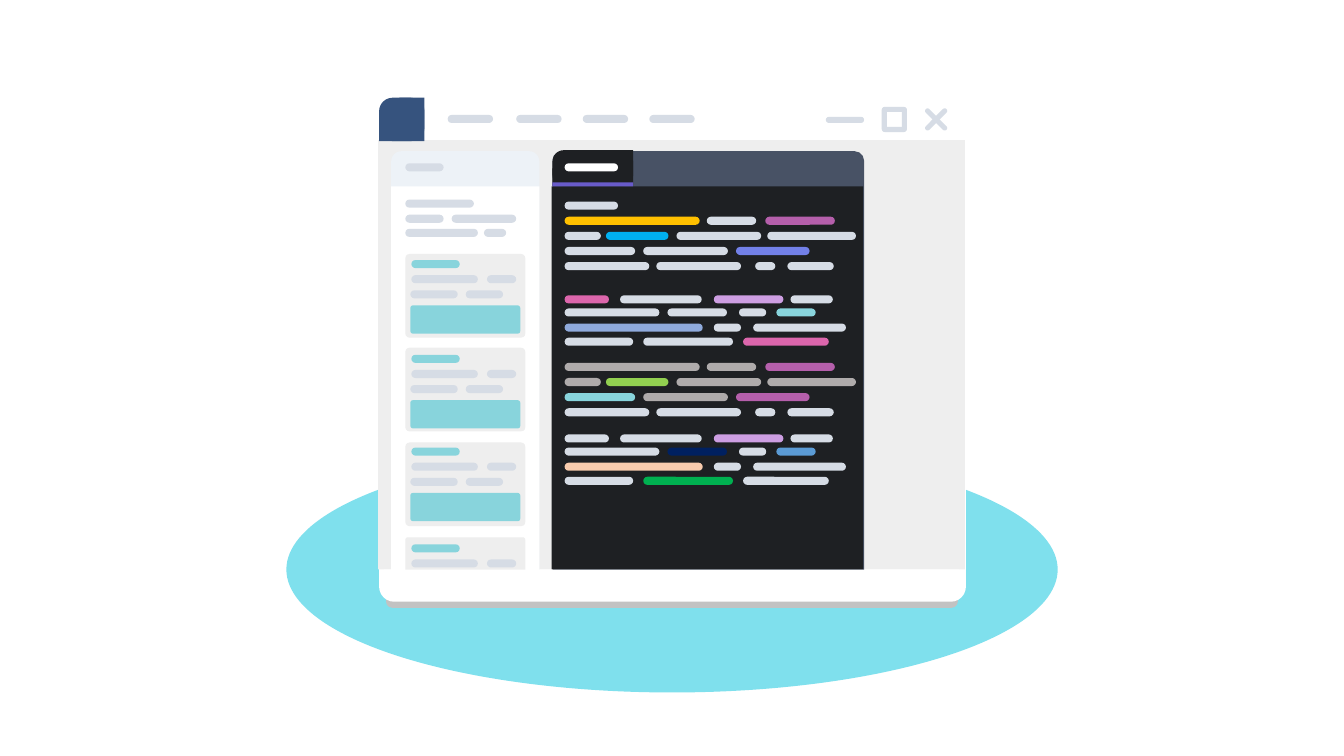
"""Build a slide with a code editor window standing on a turquoise ellipse."""
from pptx import Presentation, util as u
from pptx.dml.color import RGBColor
from pptx.enum import shapes

WHITE = RGBColor(0xFF, 0xFF, 0xFF)
TURQUOISE = RGBColor(0x7F, 0xE0, 0xED)
SHADE = RGBColor(0xC2, 0xC2, 0xC2)
PALE = RGBColor(0xEE, 0xEE, 0xEE)
MIST = RGBColor(0xD6, 0xDC, 0xE5)
NAVY = RGBColor(0x36, 0x53, 0x7E)
ICE = RGBColor(0xED, 0xF2, 0xF7)
SLATE = RGBColor(0x48, 0x52, 0x65)
INK = RGBColor(0x1E, 0x20, 0x23)
VIOLET = RGBColor(0x68, 0x5B, 0xC9)
TEAL = RGBColor(0x88, 0xD4, 0xDC)
AMBER = RGBColor(0xFF, 0xC0, 0x00)
PLUM = RGBColor(0xB5, 0x5F, 0xAB)
SKY = RGBColor(0x00, 0xB0, 0xF0)
IRIS = RGBColor(0x72, 0x80, 0xE8)
PINK = RGBColor(0xDC, 0x66, 0xAC)
LILAC = RGBColor(0xCD, 0x9E, 0xE2)
PERIWINKLE = RGBColor(0x8F, 0xAA, 0xDC)
GREY = RGBColor(0xAF, 0xAB, 0xAB)
LIME = RGBColor(0x92, 0xD0, 0x50)
MIDNIGHT = RGBColor(0x00, 0x20, 0x60)
BLUE = RGBColor(0x5B, 0x9B, 0xD5)
PEACH = RGBColor(0xF8, 0xCB, 0xAD)
GREEN = RGBColor(0x00, 0xB0, 0x50)

BAR = 0.08
MENU = (4.44, 5.12, 5.78, 6.44)
INTRO = [(1.62, [(4.02, 0.38)]),
         (1.98, [(4.02, 0.68)]),
         (2.13, [(4.02, 0.38), (4.48, 0.64)]),
         (2.27, [(4.02, 0.72), (4.8, 0.22)])]

CARD_TOPS = [(2.52, 2.58), (3.45, 3.52), (4.39, 4.44), (5.33, 5.4)]
CARD_ROWS = [(0, [(4.08, 0.48)], TEAL),
             (0.15, [(4.08, 0.66), (4.83, 0.29)], MIST),
             (0.3, [(4.07, 0.47), (4.62, 0.37)], MIST)]

LONG_BLOCK = [(0, [(5.6, 1.34), (7.01, 0.49), (7.59, 0.69)]),
              (0.15, [(5.6, 0.36), (6.01, 0.62), (6.71, 0.84), (7.61, 0.88)]),
              (0.3, [(5.6, 0.7), (6.38, 0.84), (7.3, 0.73)]),
              (0.45, [(5.6, 0.84), (6.51, 0.84), (7.49, 0.2), (7.81, 0.46)])]
SHORT_BLOCK = [(0, [(5.6, 0.44), (6.15, 0.81), (7.08, 0.69), (7.84, 0.42)]),
               (0.13, [(5.6, 0.94), (6.62, 0.59), (7.33, 0.27), (7.7, 0.39)]),
               (0.28, [(5.6, 1.37), (7.08, 0.27), (7.47, 0.92)]),
               (0.42, [(5.6, 0.68), (6.38, 0.89), (7.37, 0.85)])]
PLAIN = [MIST] * 4
CODE = [
    (2.15, LONG_BLOCK, [[AMBER, MIST, PLUM], [MIST, SKY, MIST, MIST],
                        [MIST, MIST, IRIS], PLAIN]),
    (2.93, SHORT_BLOCK, [[PINK, MIST, LILAC, MIST], [MIST, MIST, MIST, TEAL],
                         [PERIWINKLE, MIST, MIST], [MIST, MIST, PINK]]),
    (3.6, LONG_BLOCK, [[GREY, GREY, PLUM], [GREY, LIME, GREY, GREY],
                       [TEAL, GREY, PLUM], PLAIN]),
    (4.31, SHORT_BLOCK, [[MIST, MIST, LILAC, MIST], [MIST, MIDNIGHT, MIST, BLUE],
                         [PEACH, MIST, MIST], [MIST, GREEN, MIST]]),
]

deck = Presentation()
deck.slide_width, deck.slide_height = u.Inches(13.33), u.Inches(7.5)
page = deck.slides.add_slide(deck.slide_layouts[6])


def draw(left, top, width, height, color, kind="RECTANGLE", corner=None, turn=0):
    """Add one flat shape, rounded when a corner share is given."""
    if corner is not None:
        kind = "ROUNDED_RECTANGLE"
    box = page.shapes.add_shape(shapes.MSO_SHAPE[kind], u.Inches(left), u.Inches(top),
                                u.Inches(width), u.Inches(height))
    if corner is not None:
        box.adjustments[0] = corner
    box.fill.solid()
    box.fill.fore_color.rgb = color
    box.line.fill.background()
    box.shadow.inherit = False
    box.rotation = turn


def pill(left, top, width, color=MIST, height=BAR, turn=0):
    """Add a bar with fully round ends."""
    draw(left, top, width, height, color, corner=0.5, turn=turn)


def corner_tile(left, top, width, height, color):
    """Add a tile whose top left corner alone is round."""
    inset = 0.2 if width < 0.5 else 0.34
    draw(left, top, width, height, color, corner=0.31)
    draw(left, top + height / 2, width, height / 2, color)
    draw(left + inset, top, width - inset, height / 2, color)


def window():
    """Add the ellipse, the window frame, its menu and its buttons."""
    draw(2.84, 4.43, 7.65, 2.44, TURQUOISE, kind="OVAL")
    draw(3.83, 5.17, 5.67, 0.86, SHADE, corner=0.07)
    draw(3.76, 0.97, 5.82, 5, WHITE, corner=0.03)
    draw(3.75, 1.39, 5.82, 4.26, PALE)
    corner_tile(3.76, 0.97, 0.45, 0.43, NAVY)
    for left in MENU:
        pill(left, 1.14, 0.45)
    pill(8.19, 1.16, 0.38, height=0.06)
    for shift in (-0.1, 0.1):
        pill(8.75, 1.16 + shift, 0.24, height=0.05)
        pill(8.75 + shift, 1.16, 0.24, height=0.05, turn=90)
    for turn in (45, 135):
        pill(9.14, 1.16, 0.29, height=0.05, turn=turn)


def sidebar():
    """Add the left panel with its intro lines and cards."""
    draw(3.88, 1.5, 1.47, 4.33, ICE, corner=0.07)
    draw(3.88, 1.85, 1.47, 3.9, WHITE)
    for top, bars in INTRO:
        for left, width in bars:
            pill(left, top, width)
    for card_top, text_top in CARD_TOPS:
        whole = card_top < 5
        draw(4.02, card_top, 1.19, 0.83 if whole else 0.49, PALE, corner=0.05)
        for offset, bars, color in CARD_ROWS if whole else CARD_ROWS[:2]:
            for left, width in bars:
                pill(left, text_top + offset, width, color)
        if whole:
            draw(4.07, text_top + 0.45, 1.09, 0.28, TEAL, corner=0.09)


def editor():
    """Add the dark panel with its tab and coloured code lines."""
    draw(5.48, 1.5, 3.09, 4.32, SLATE, corner=0.03)
    draw(5.47, 1.85, 3.09, 3.8, INK)
    corner_tile(5.48, 1.49, 0.8, 0.36, INK)
    draw(5.48, 1.81, 0.8, 0.04, VIOLET)
    pill(5.6, 1.62, 0.53, WHITE)
    pill(5.6, 2, 0.53)
    for top, rows, palette in CODE:
        for (offset, bars), colors in zip(rows, palette):
            for (left, width), color in zip(bars, colors):
                pill(left, top + offset, width, color)


window()
sidebar()
editor()
draw(3.81, 5.65, 5.7, 0.22, WHITE)
deck.save("out.pptx")
